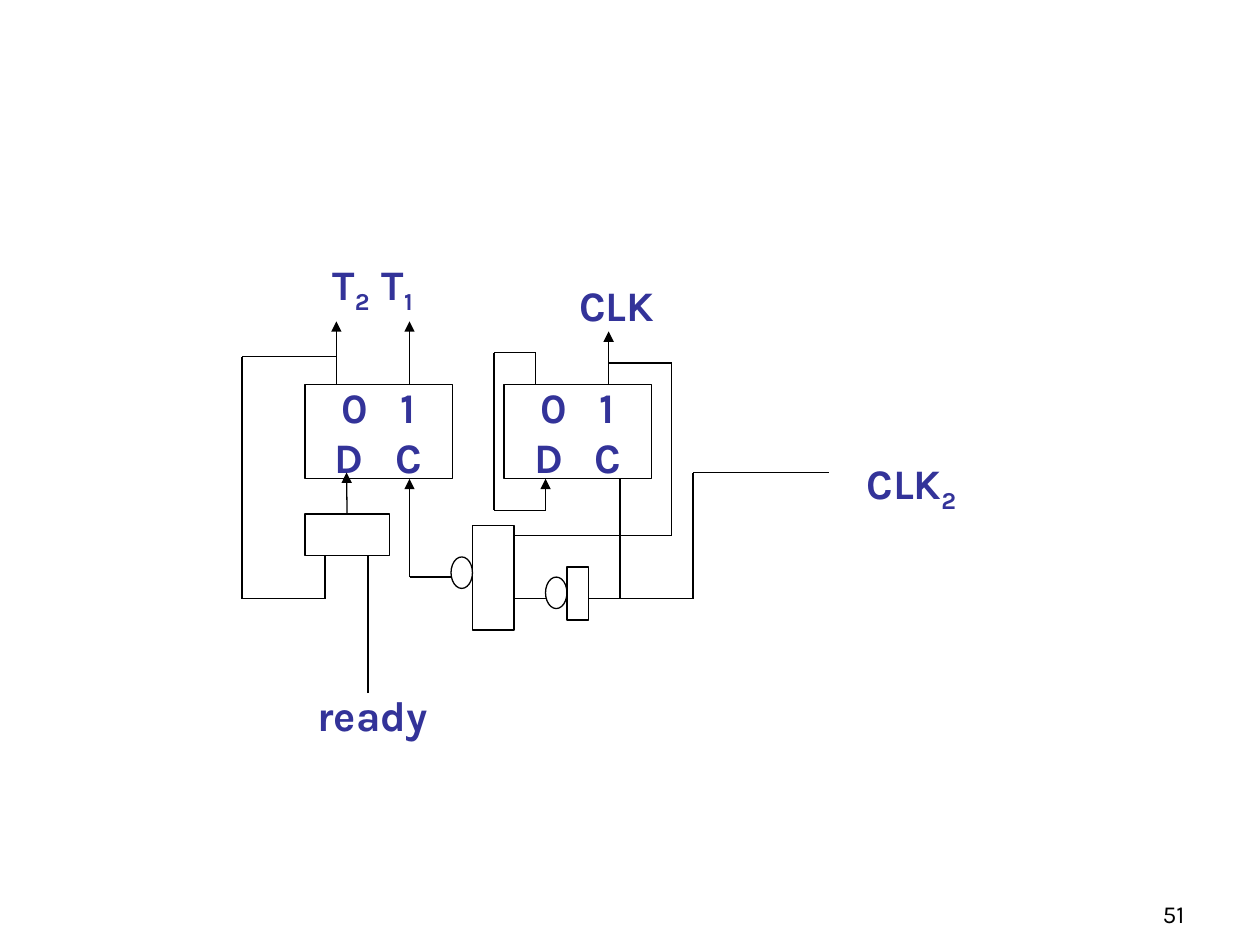
from itertools import pairwise

from lxml import etree
from pptx import Presentation
from pptx.dml.color import RGBColor
from pptx.enum import shapes, text
from pptx.oxml.ns import qn
from pptx.util import Inches, Pt

COLORS = {"ink": "000000", "signal": "333399"}
FONT = "Karla"
RECT, OVAL = shapes.MSO_SHAPE.RECTANGLE, shapes.MSO_SHAPE.OVAL


def color(name):
    return RGBColor.from_string(COLORS[name])


def style_runs(paragraph, size=24, ink="signal", bold=True):
    for run in paragraph.runs:
        run.font.name, run.font.size, run.font.bold = FONT, Pt(size), bold
        run.font.color.rgb = color(ink)


def outline(slide, origin, kind, left, top, width, height):
    """Unfilled shape placed relative to the origin of its region."""
    shape = slide.shapes.add_shape(kind, Inches(origin[0] + left), Inches(origin[1] + top),
                                   Inches(width), Inches(height))
    shape.shadow.inherit = False
    shape.fill.background()
    shape.line.color.rgb = color("ink")
    shape.line.width = Pt(0.75)
    return shape


def wire(slide, origin, points, arrow=False):
    """Chain of straight lines through the points; returns the last one."""
    corners = [(Inches(origin[0] + x), Inches(origin[1] + y)) for x, y in points]
    for start, end in pairwise(corners):
        line = slide.shapes.add_connector(shapes.MSO_CONNECTOR.STRAIGHT, *start, *end)
        line.line.color.rgb = color("ink")
        line.line.width = Pt(0.75)
        etree.SubElement(line._element.spPr, qn("a:effectLst"))
    if arrow:
        etree.SubElement(line.line._get_or_add_ln(), qn("a:tailEnd"), type="triangle")
    return line


def label(slide, origin, left, top, width, height, *parts):
    """Signal name whose every second part is a subscript."""
    box = slide.shapes.add_textbox(Inches(origin[0] + left), Inches(origin[1] + top),
                                   Inches(width), Inches(height))
    box.text_frame.word_wrap = False
    paragraph = box.text_frame.paragraphs[0]
    for index, part in enumerate(parts):
        run = paragraph.add_run()
        run.text = part
        if index % 2:
            run._r.get_or_add_rPr().set("baseline", "-25000")
    style_runs(paragraph)


def flip_flop(slide, origin, left, top):
    frame = outline(slide, origin, RECT, left, top, 1.17, 0.75).text_frame
    frame.word_wrap = False
    frame.vertical_anchor = text.MSO_ANCHOR.MIDDLE
    frame.text = "0   1\nD   C"
    for paragraph in frame.paragraphs:
        paragraph.alignment = text.PP_ALIGN.CENTER
        style_runs(paragraph)


def timing_state(slide, left, top):
    """Flip-flop for T1 and T2, with its input gate and feedback."""
    origin = left, top
    flip_flop(slide, origin, 0.5, 1.05)
    gate = outline(slide, origin, RECT, 0.5, 2.08, 0.67, 0.33)
    for x in (0.75, 1.33):
        wire(slide, origin, [(x, 1.05), (x, 0.55)], arrow=True)
    wire(slide, origin, [(0.75, 0.83), (0, 0.83), (0, 2.75), (0.66, 2.75), (0.66, 2.41)])
    wire(slide, origin, [(0.83, 2.08), (0.83, 1.75)], arrow=True).begin_connect(gate, 0)
    wire(slide, origin, [(1, 3.5), (1, 2.41)])
    label(slide, origin, 0.62, 0, 0.91, 0.56, "T", "2  ", "T", "1")
    label(slide, origin, 0.5, 3.42, 1.15, 0.5, "ready")


def clock_divider(slide, left, top):
    """Flip-flop that halves CLK2, and the gates that clock the timing state."""
    origin = left, top
    flip_flop(slide, origin, 0.75, 1.05)
    outline(slide, origin, RECT, 0.5, 2.17, 0.33, 0.83)
    outline(slide, origin, RECT, 1.25, 2.5, 0.17, 0.42)
    for x, y in ((0.33, 2.42), (1.08, 2.58)):
        outline(slide, origin, OVAL, x, y, 0.17, 0.25)
    wire(slide, origin, [(1, 1.05), (1, 0.8), (0.67, 0.8), (0.67, 2.05),
                         (1.08, 2.05), (1.08, 1.8)], arrow=True)
    wire(slide, origin, [(1.58, 1.05), (1.58, 0.63)], arrow=True)
    wire(slide, origin, [(1.58, 0.88), (2.08, 0.88), (2.08, 2.25), (0.83, 2.25)])
    wire(slide, origin, [(1.67, 2.75), (1.67, 1.8)])
    wire(slide, origin, [(1.08, 2.75), (0.83, 2.75)])
    wire(slide, origin, [(0.33, 2.58), (0, 2.58), (0, 1.8)], arrow=True)
    wire(slide, origin, [(1.42, 2.75), (2.25, 2.75), (2.25, 1.75), (3.33, 1.75)])
    label(slide, origin, 1.25, 0.17, 0.82, 0.5, "CLK")
    label(slide, origin, 3.53, 1.58, 0.93, 0.56, "CLK", "2")


def page_number(slide, left, top, width, height):
    frame = slide.shapes.add_textbox(Inches(left), Inches(top),
                                     Inches(width), Inches(height)).text_frame
    frame.word_wrap = True
    frame.vertical_anchor = text.MSO_ANCHOR.BOTTOM
    frame.text = "51"
    frame.paragraphs[0].alignment = text.PP_ALIGN.RIGHT
    style_runs(frame.paragraphs[0], size=14, ink="ink", bold=False)


def main():
    deck = Presentation()
    deck.slide_width, deck.slide_height = Inches(10), Inches(7.5)
    slide = deck.slides.add_slide(deck.slide_layouts[6])
    timing_state(slide, 1.92, 2)
    clock_divider(slide, 3.25, 2)
    page_number(slide, 7.42, 6.92, 2.08, 0.5)
    deck.save("out.pptx")


if __name__ == "__main__":
    main()
